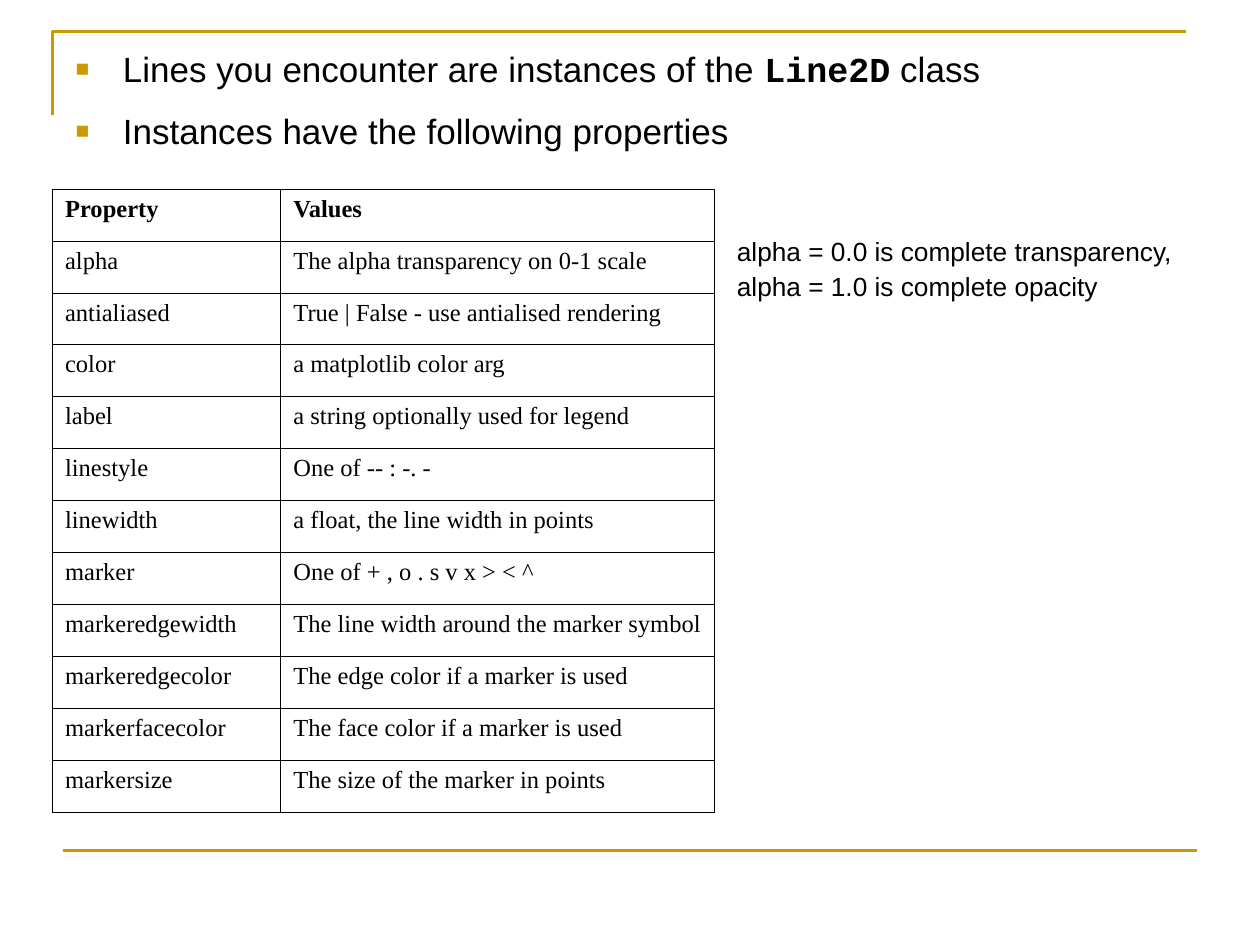
import pptx
import pptx.dml.color
import pptx.enum.text
import pptx.oxml
import pptx.oxml.ns
import pptx.util
from pptx.util import Pt

COLORS = {"gold": "CC9900", "black": "000000"}
BULLETS = [
    [("Lines you encounter are instances of the ", "Arial"),
     ("Line2D", "Courier New"), (" class", "Arial")],
    [("Instances have the following properties", "Arial")],
]
SPACE_BEFORE = [2.5, 11.2]
PROPERTIES = [
    ("Property", "Values"),
    ("alpha", "The alpha transparency on 0-1 scale"),
    ("antialiased", "True | False - use antialised rendering"),
    ("color", "a matplotlib color arg"),
    ("label", "a string optionally used for legend"),
    ("linestyle", "One of -- : -. -"),
    ("linewidth", "a float, the line width in points"),
    ("marker", "One of + , o . s v x > < ^"),
    ("markeredgewidth", "The line width around the marker symbol"),
    ("markeredgecolor", "The edge color if a marker is used"),
    ("markerfacecolor", "The face color if a marker is used"),
    ("markersize", "The size of the marker in points"),
]
NOTE = "alpha = 0.0 is complete transparency, alpha = 1.0 is complete opacity"
COL_WIDTHS = [130.5, 248]
ROW_HEIGHT = 29.7


def rgb(name):
    return pptx.dml.color.RGBColor.from_string(COLORS[name])


def add_xml(parent, tag, body="", attrs=""):
    ns = pptx.oxml.ns.nsdecls("a")
    parent.append(pptx.oxml.parse_xml(f"<a:{tag} {ns} {attrs}>{body}</a:{tag}>"))


def solid(name):
    return f'<a:solidFill><a:srgbClr val="{COLORS[name]}"/></a:solidFill>'


def set_font(font, name, size, bold=False):
    font.name, font.size, font.bold = name, Pt(size), bold
    font.color.rgb = rgb("black")


def style_rule(sp):
    sp.line.color.rgb = rgb("gold")
    sp.line.width = Pt(1.5)


def add_rules(s):
    builder = s.shapes.build_freeform(Pt(30), Pt(66))
    builder.add_line_segments([(Pt(30), Pt(18)), (Pt(678), Pt(18))], close=False)
    corner = builder.convert_to_shape()
    corner.fill.background()
    corner.shadow.inherit = False
    style_rule(corner)
    footer = s.shapes.add_connector(1, Pt(36), Pt(486), Pt(684), Pt(486))
    style_rule(footer)
    add_xml(footer._element.spPr, "effectLst")


def fill_bullets(sp):
    sp.left, sp.top, sp.width, sp.height = Pt(36), Pt(23.75), Pt(660), Pt(75)
    tf = sp.text_frame
    tf.auto_size = pptx.enum.text.MSO_AUTO_SIZE.NONE
    for i, runs in enumerate(BULLETS):
        p = tf.add_paragraph() if i else tf.paragraphs[0]
        p.space_before = Pt(SPACE_BEFORE[i])
        pPr = p._p.get_or_add_pPr()
        pPr.set("marL", str(Pt(27)))
        pPr.set("indent", str(-Pt(27)))
        add_xml(pPr, "buClr", f'<a:srgbClr val="{COLORS["gold"]}"/>')
        add_xml(pPr, "buSzPct", attrs='val="65000"')
        add_xml(pPr, "buFont", attrs='typeface="Arial"')
        add_xml(pPr, "buChar", attrs='char="■"')
        for text, font in runs:
            r = p.add_run()
            r.text = text
            set_font(r.font, font, 20, bold=font == "Courier New")


def add_properties(s):
    rows, cols = len(PROPERTIES), len(COL_WIDTHS)
    table = s.shapes.add_table(rows, cols, Pt(30), Pt(108), Pt(sum(COL_WIDTHS)),
                               Pt(rows * ROW_HEIGHT)).table
    table.first_row = table.horz_banding = False
    for column, width in zip(table.columns, COL_WIDTHS):
        column.width = Pt(width)
    for i, values in enumerate(PROPERTIES):
        table.rows[i].height = Pt(ROW_HEIGHT)
        for j, text in enumerate(values):
            cell = table.cell(i, j)
            cell.text = text
            set_font(cell.text_frame.paragraphs[0].font, "Times New Roman", 14, bold=i == 0)
            tcPr = cell._tc.get_or_add_tcPr()
            for side in ("lnL", "lnR", "lnT", "lnB"):
                add_xml(tcPr, side, solid("black"), f'w="{Pt(0.45)}"')
            cell.fill.background()


def add_note(s):
    tf = s.shapes.add_textbox(Pt(414), Pt(129), Pt(270), Pt(48)).text_frame
    tf.word_wrap = True
    p = tf.paragraphs[0]
    p.text = NOTE
    p.line_spacing = Pt(20)
    set_font(p.font, "Arial", 15)


def main():
    prs = pptx.Presentation()
    prs.slide_width, prs.slide_height = Pt(720), Pt(540)
    s = prs.slides.add_slide(prs.slide_layouts[1])
    title = s.shapes.title._element
    title.getparent().remove(title)
    add_rules(s)
    fill_bullets(s.placeholders[1])
    add_properties(s)
    add_note(s)
    prs.save("out.pptx")


if __name__ == "__main__":
    main()
